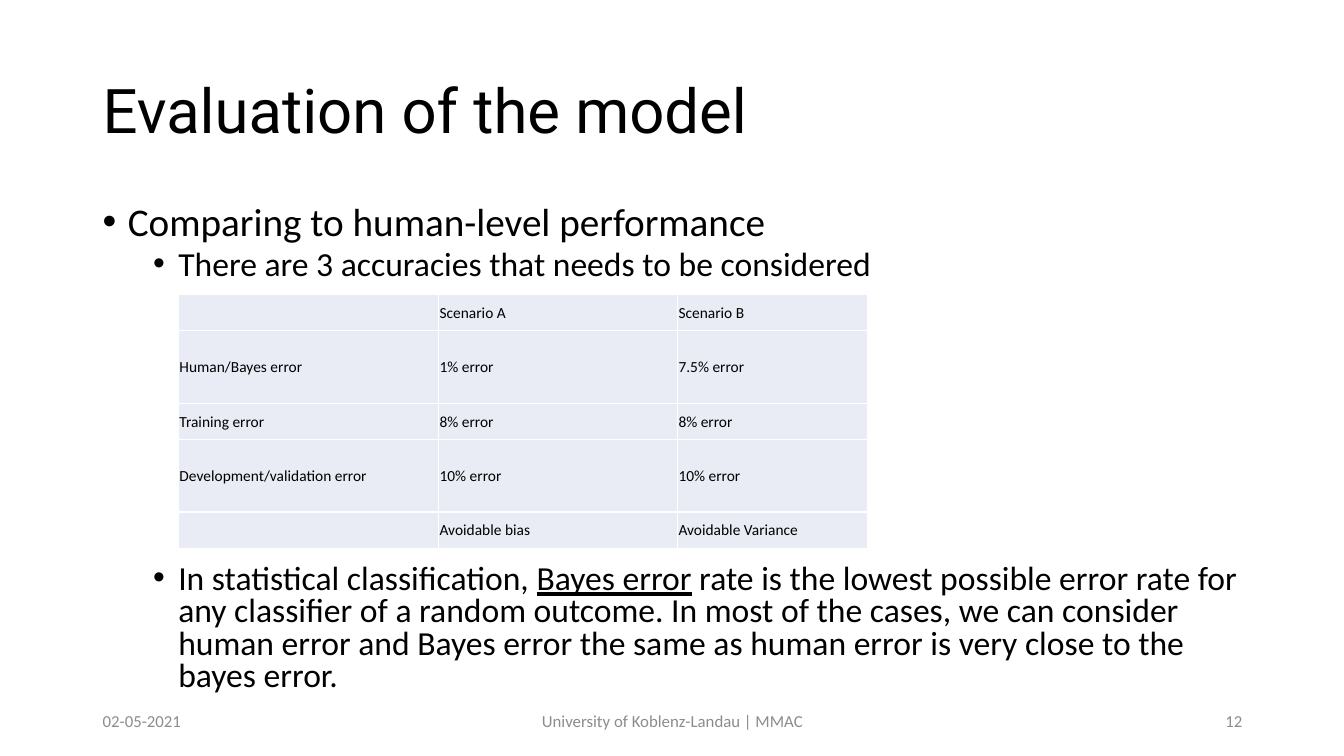
from dataclasses import dataclass

from lxml.etree import SubElement
from pptx import Presentation
from pptx.dml.color import RGBColor
from pptx.enum.text import MSO_ANCHOR, PP_ALIGN
from pptx.oxml.ns import qn
from pptx.slide import Slide
from pptx.table import _Cell
from pptx.text.text import TextFrame, _Paragraph
from pptx.util import Inches, Pt

COLORS = {"text": "000000", "footer": "8C8C8C", "cell": "E9EBF5", "border": "FFFFFF"}
BODY_FONT = "Calibri"


@dataclass
class TextBox:
    text: str
    left: float
    top: float
    width: float
    height: float
    size: float
    color: str = "text"
    font: str = BODY_FONT
    alignment: PP_ALIGN = PP_ALIGN.LEFT
    line_spacing: float = 1.0


@dataclass
class Bullet:
    runs: list[str]
    level: int
    size: float
    space_before: float
    underlined: str = ""


FOOTER_TOP, FOOTER_HEIGHT, FOOTER_SIZE = 6.95, 0.4, 12
TEXT_BOXES = [
    TextBox("Evaluation of the model", 0.92, 0.4, 11.5, 1.45, 44,
            font="Roboto", line_spacing=0.9),
    TextBox("02-05-2021", 0.92, FOOTER_TOP, 3, FOOTER_HEIGHT, FOOTER_SIZE, "footer"),
    TextBox("University of Koblenz-Landau | MMAC", 4.42, FOOTER_TOP, 4.5, FOOTER_HEIGHT,
            FOOTER_SIZE, "footer", alignment=PP_ALIGN.CENTER),
    TextBox("12", 9.42, FOOTER_TOP, 3, FOOTER_HEIGHT, FOOTER_SIZE, "footer",
            alignment=PP_ALIGN.RIGHT),
]

# The last bullet's space leaves room for the table
BULLETS = [
    Bullet(["Comparing to human-level performance"], 0, 28, 10),
    Bullet(["There are 3 accuracies that needs to be considered"], 1, 24, 5),
    Bullet(["In statistical classification, ", "Bayes error",
            " rate is the lowest possible error rate for any classifier of a random outcome. "
            "In most of the cases, we can consider human error and Bayes error the same as "
            "human error is very close to the bayes error."], 1, 24, 201, "Bayes error"),
]

COLUMN_WIDTHS = [2.58, 2.37, 1.89]
ROW_HEIGHTS = [0.36, 0.72, 0.36, 0.72, 0.36]
ERROR_ROWS = [
    ["", "Scenario A", "Scenario B"],
    ["Human/Bayes error", "1% error", "7.5% error"],
    ["Training error", "8% error", "8% error"],
    ["Development/validation error", "10% error", "10% error"],
    ["", "Avoidable bias", "Avoidable Variance"],
]


def set_font(paragraph: _Paragraph, size: float, color: str = "text",
             name: str = BODY_FONT) -> None:
    paragraph.font.size = Pt(size)
    paragraph.font.name = name
    paragraph.font.color.rgb = RGBColor.from_string(COLORS[color])


def add_frame(slide: Slide, left: float, top: float, width: float,
              height: float) -> TextFrame:
    shape = slide.shapes.add_textbox(Inches(left), Inches(top), Inches(width), Inches(height))
    shape.text_frame.word_wrap = True
    return shape.text_frame


def add_text_box(slide: Slide, box: TextBox) -> None:
    frame = add_frame(slide, box.left, box.top, box.width, box.height)
    frame.vertical_anchor = MSO_ANCHOR.MIDDLE
    paragraph = frame.paragraphs[0]
    paragraph.text = box.text
    paragraph.alignment = box.alignment
    paragraph.line_spacing = box.line_spacing
    set_font(paragraph, box.size, box.color, box.font)


def fill_bullet(paragraph: _Paragraph, bullet: Bullet) -> None:
    paragraph.level = bullet.level
    properties = paragraph._p.get_or_add_pPr()
    properties.set("marL", str(Inches(0.25 + 0.5 * bullet.level)))
    properties.set("indent", str(Inches(-0.25)))
    SubElement(properties, qn("a:buFont"), typeface="Arial")
    SubElement(properties, qn("a:buChar"), char="•")
    paragraph.line_spacing = 0.8
    paragraph.space_before = Pt(bullet.space_before)
    set_font(paragraph, bullet.size)
    for text in bullet.runs:
        run = paragraph.add_run()
        run.text = text
        if text == bullet.underlined:
            run.font.underline = True


def add_borders(cell: _Cell) -> None:
    properties = cell._tc.get_or_add_tcPr()
    for index, side in enumerate(("lnL", "lnR", "lnT", "lnB")):
        line = SubElement(properties, qn(f"a:{side}"), w=str(Pt(1)))
        fill = SubElement(line, qn("a:solidFill"))
        SubElement(fill, qn("a:srgbClr"), val=COLORS["border"])
        properties.insert(index, line)


def fill_cell(cell: _Cell, text: str) -> None:
    cell.margin_left = cell.margin_right = cell.margin_top = Inches(0.01)
    cell.margin_bottom = 0
    cell.vertical_anchor = MSO_ANCHOR.MIDDLE
    cell.fill.solid()
    cell.fill.fore_color.rgb = RGBColor.from_string(COLORS["cell"])
    add_borders(cell)
    paragraph = cell.text_frame.paragraphs[0]
    paragraph.text = text
    set_font(paragraph, 11)


def add_error_table(slide: Slide) -> None:
    table = slide.shapes.add_table(
        len(ROW_HEIGHTS), len(COLUMN_WIDTHS), Inches(1.77), Inches(2.92),
        Inches(sum(COLUMN_WIDTHS)), Inches(sum(ROW_HEIGHTS))).table
    table.first_row = table.horz_banding = False
    for column, width in zip(table.columns, COLUMN_WIDTHS):
        column.width = Inches(width)
    for row, height, texts in zip(table.rows, ROW_HEIGHTS, ERROR_ROWS):
        row.height = Inches(height)
        for cell, text in zip(row.cells, texts):
            fill_cell(cell, text)


def main() -> None:
    presentation = Presentation()
    presentation.slide_width = Inches(13.33)
    presentation.slide_height = Inches(7.5)
    slide = presentation.slides.add_slide(presentation.slide_layouts[6])

    # Title and footer
    for box in TEXT_BOXES:
        add_text_box(slide, box)

    # Bulleted body
    frame = add_frame(slide, 0.92, 2, 11.5, 5.1)
    for index, bullet in enumerate(BULLETS):
        paragraph = frame.add_paragraph() if index else frame.paragraphs[0]
        fill_bullet(paragraph, bullet)

    # Error comparison
    add_error_table(slide)

    presentation.save("out.pptx")


if __name__ == "__main__":
    main()
